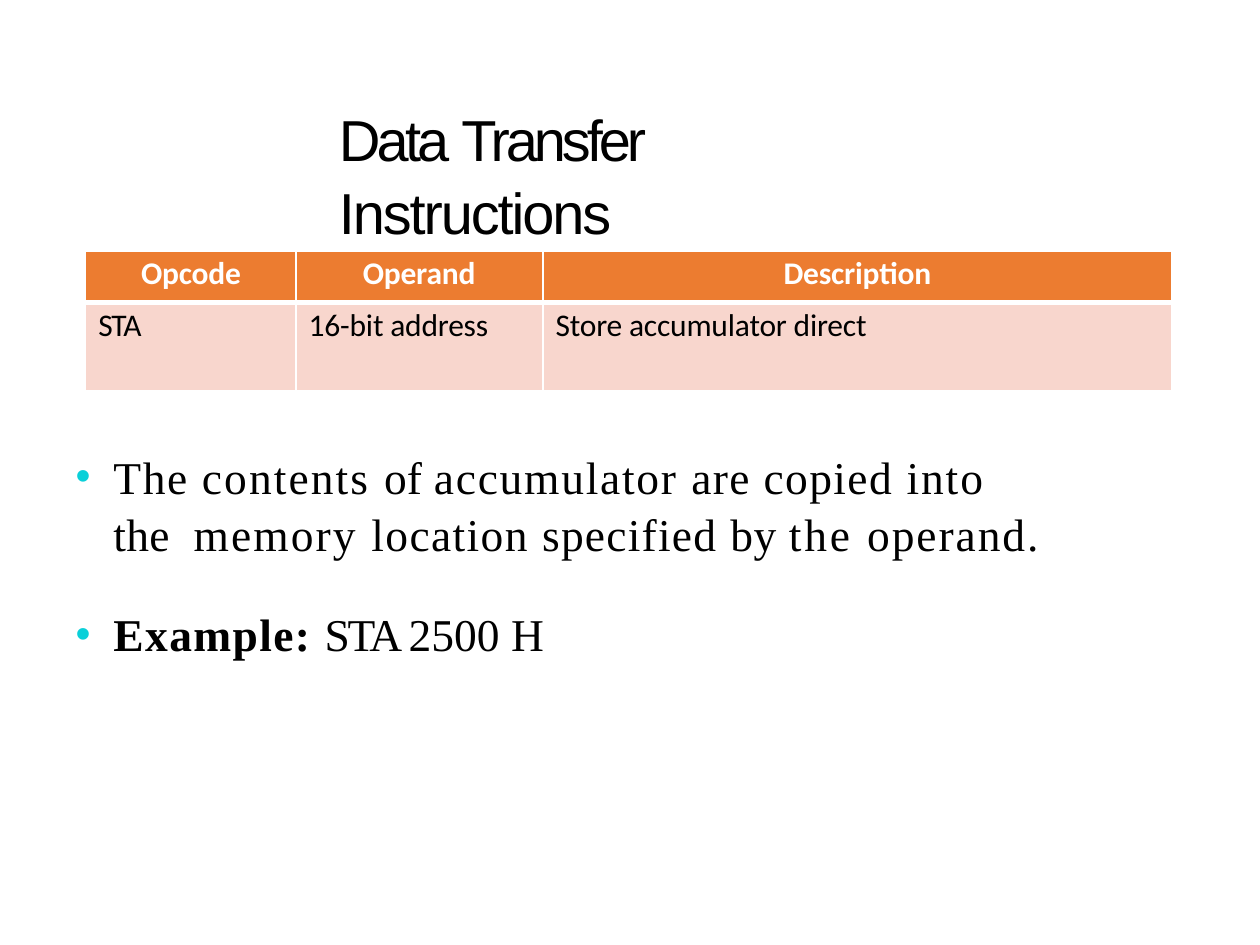
from lxml import etree
from pptx import Presentation
from pptx.dml.color import RGBColor
from pptx.enum.text import MSO_ANCHOR, PP_ALIGN
from pptx.oxml.ns import qn
from pptx.util import Inches, Pt

BLACK = RGBColor(0x00, 0x00, 0x00)
WHITE = RGBColor(0xFF, 0xFF, 0xFF)
ORANGE = RGBColor(0xEC, 0x7C, 0x30)
PINK = RGBColor(0xF8, 0xD6, 0xCD)
CYAN = RGBColor(0x0A, 0xD0, 0xD9)
TOP = MSO_ANCHOR.TOP
LEFT, CENTER = PP_ALIGN.LEFT, PP_ALIGN.CENTER

COL_WIDTHS = (1.67, 1.96, 4.99)
ROW_HEIGHTS = (0.41, 0.7)
HEADINGS = (("Opcode", 0.44), ("Operand", 0.53), ("Description", 0))
VALUES = (("STA", -0.6), ("16-bit address", -0.1),
          ("Store accumulator direct", -0.1))
CONTENTS = (("The ", 0.9), ("contents ", 1.2), ("of ", 0.1),
            ("accumulator ", 1), ("are copied ", 0.8), ("into ", 1.1),
            ("the  ", 0.2), ("memory ", 1.2), ("location ", 0.8),
            ("specified ", 0.7), ("by ", 0.3), ("the ", 1.6),
            ("operand.", 1.1))
EXAMPLE = (("STA ", -1.4), ("2500 ", 0), ("H", 1.7))


def add_text(p, text, font, size, color=BLACK, bold=False, spacing=0):
    r = p.add_run()
    r.text = text
    r.font.name, r.font.size = font, Pt(size)
    r.font.bold = bold
    r.font.color.rgb = color
    r._r.get_or_add_rPr().set("spc", str(round(spacing * 100)))


def set_indent(p, left, first=0):
    pPr = p._p.get_or_add_pPr()
    pPr.set("marL", str(Inches(left)))
    pPr.set("indent", str(Inches(first)))


def set_bullet(p, color):
    pPr = p._p.get_or_add_pPr()
    clr = etree.SubElement(pPr, qn("a:buClr"))
    etree.SubElement(clr, qn("a:srgbClr"), val=str(color))
    etree.SubElement(pPr, qn("a:buSzPct"), val="94000")
    etree.SubElement(pPr, qn("a:buFont"), typeface="Arial")
    etree.SubElement(pPr, qn("a:buChar"), char="•")


def place(sp, box, top_inset):
    sp.left, sp.top, sp.width, sp.height = map(Inches, box)
    tf = sp.text_frame
    tf.word_wrap = True
    tf.vertical_anchor = TOP
    tf.margin_left = tf.margin_right = tf.margin_bottom = 0
    tf.margin_top = Inches(top_inset)
    return tf


def format_paragraph(p, before=0):
    p.alignment = LEFT
    p.line_spacing = 1.05
    p.space_before = Pt(before)


def add_title(s, box):
    p = place(s.shapes.title, box, 0.02).paragraphs[0]
    format_paragraph(p)
    set_indent(p, 0.01)
    for text, spacing in (("Data ", -2.2), ("Transfer ", -2.3),
                          ("Instructions", -1.2)):
        add_text(p, text, "Arial", 33, spacing=spacing)


def set_borders(cell, top, bottom):
    tcPr = cell._tc.get_or_add_tcPr()
    widths = (("a:lnL", 1), ("a:lnR", 1), ("a:lnT", top), ("a:lnB", bottom))
    for i, (tag, width) in enumerate(widths):
        ln = etree.Element(qn(tag), w=str(Pt(width)))
        fill = etree.SubElement(ln, qn("a:solidFill"))
        etree.SubElement(fill, qn("a:srgbClr"), val=str(WHITE))
        tcPr.insert(i, ln)


def format_cell(cell, fill, top, bottom):
    cell.fill.solid()
    cell.fill.fore_color.rgb = fill
    cell.margin_left = cell.margin_right = cell.margin_bottom = 0
    cell.margin_top = Inches(0.03)
    set_borders(cell, top, bottom)
    return cell.text_frame.paragraphs[0]


def add_opcode_table(s, box):
    table = s.shapes.add_table(2, 3, *map(Inches, box)).table
    for row, height in zip(table.rows, ROW_HEIGHTS):
        row.height = Inches(height)
    for i, width in enumerate(COL_WIDTHS):
        table.columns[i].width = Inches(width)
        heading, indent = HEADINGS[i]
        p = format_cell(table.cell(0, i), ORANGE, 1, 3)
        p.alignment = LEFT if indent else CENTER
        set_indent(p, indent)
        add_text(p, heading, "Calibri", 18, WHITE, True, -0.1)
        value, spacing = VALUES[i]
        p = format_cell(table.cell(1, i), PINK, 3, 1)
        set_indent(p, 0.1)
        add_text(p, value, "Calibri", 18, spacing=spacing)


def add_bullets(s, box):
    tf = place(s.placeholders[1], box, 0.01)
    contents, example = tf.paragraphs[0], tf.add_paragraph()
    for p, before in ((contents, 0), (example, 24.5)):
        set_bullet(p, CYAN)
        format_paragraph(p, before)
        set_indent(p, 0.31, -0.3)
    add_text(example, "Example: ", "Times New Roman", 26, bold=True,
             spacing=0.8)
    for p, parts in ((contents, CONTENTS), (example, EXAMPLE)):
        for text, spacing in parts:
            add_text(p, text, "Times New Roman", 26, spacing=spacing)


def main():
    prs = Presentation()
    prs.slide_width, prs.slide_height = Inches(10), Inches(7.5)
    s = prs.slides.add_slide(prs.slide_layouts[1])
    add_title(s, (2.68, 0.78, 4.6, 0.58))
    add_opcode_table(s, (0.68, 1.99, sum(COL_WIDTHS), sum(ROW_HEIGHTS)))
    add_bullets(s, (0.59, 3.53, 7.73, 1.66))
    prs.save("out.pptx")


if __name__ == "__main__":
    main()
